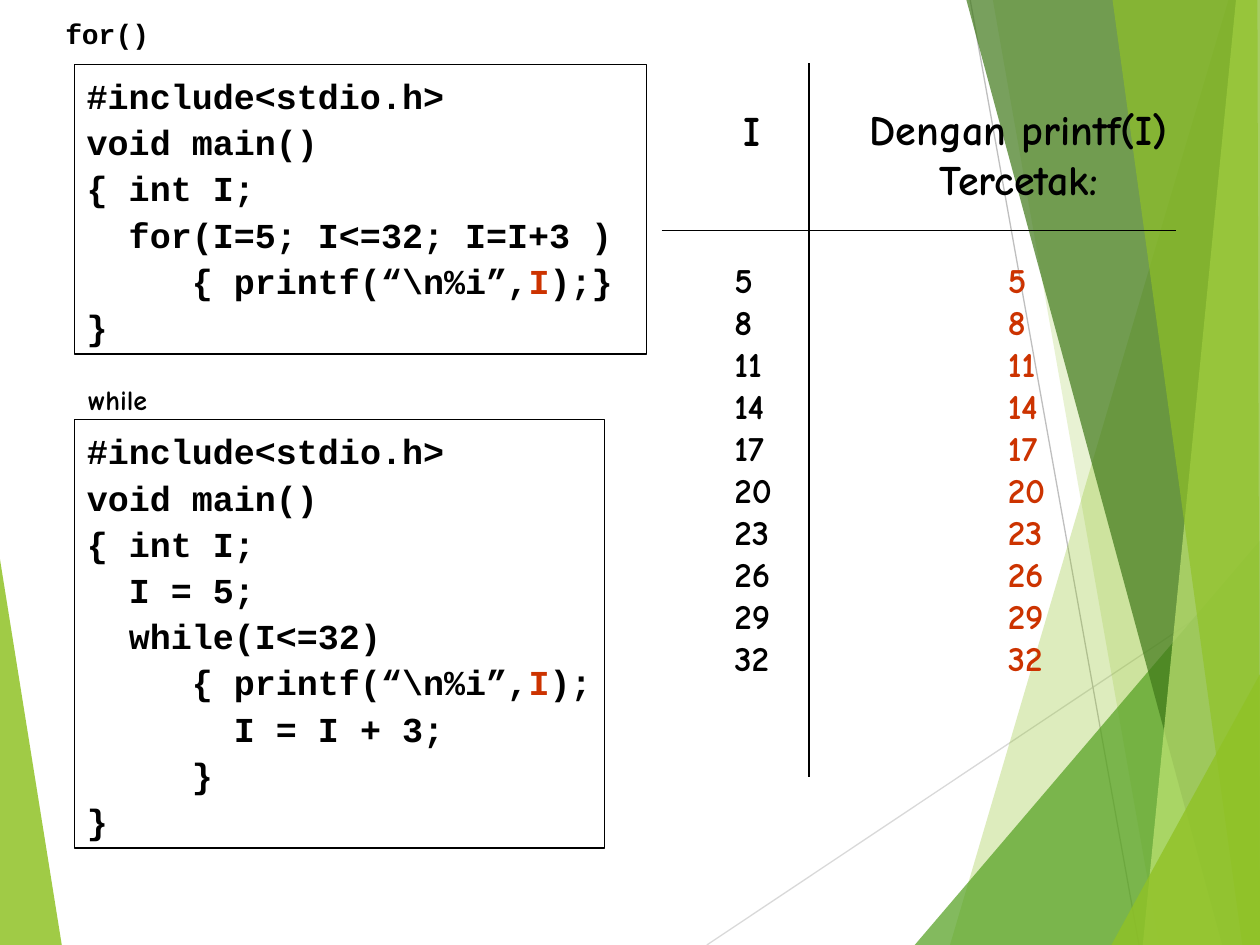
from lxml import etree
from pptx import Presentation
from pptx.dml.color import RGBColor
from pptx.enum.shapes import MSO_CONNECTOR, MSO_SHAPE
from pptx.enum.text import MSO_ANCHOR, MSO_AUTO_SIZE, PP_ALIGN
from pptx.oxml.ns import qn
from pptx.util import Inches, Pt

LEFT, CENTER = PP_ALIGN.LEFT, PP_ALIGN.CENTER
TOP, FIT = MSO_ANCHOR.TOP, MSO_AUTO_SIZE.SHAPE_TO_FIT_TEXT
RECT, STRAIGHT = MSO_SHAPE.RECTANGLE, MSO_CONNECTOR.STRAIGHT
CODE, HAND = "Courier New", "Comic Neue"
BLACK, RED = "000000", "CC3300"

prs = Presentation()
prs.slide_width, prs.slide_height = Inches(10), Inches(7.5)
U = prs.slide_width // 100
s = prs.slides.add_slide(prs.slide_layouts[6])


def rgb(color):
    return RGBColor.from_string(color)


def write(sp, lines, font, size, color=BLACK, align=LEFT, spacing=None):
    tf = sp.text_frame
    tf.word_wrap = False
    tf.auto_size = FIT
    tf.vertical_anchor = TOP
    for i, line in enumerate(lines):
        p = tf.paragraphs[0] if i == 0 else tf.add_paragraph()
        p.alignment = align
        p.line_spacing = spacing
        p.font.name, p.font.size, p.font.bold = font, Pt(size), True
        p.font.color.rgb = rgb(color)
        for j, part in enumerate(line.split("|")):
            r = p.add_run()
            r.text = part
            if j == 1:
                r.font.color.rgb = rgb(RED)


strokes_and_facets = [
    ("90C226", 85, [(0, 44.4), (4.9, 75), (0, 75)]),
    ("D9D9D9", 100, [(56.1, 75), (100, 45.7)]),
    ("BFBFBF", 100, [(77, 0), (90.4, 75)]),
    ("90C226", 30, [(97.5, 0), (75.4, 75), (100, 75), (100, 0)]),
    ("90C226", 20, [(78.8, 0), (92, 75), (100, 75), (100, 0)]),
    ("54A021", 72, [(72.6, 75), (100, 42.9), (100, 75)]),
    ("3F7819", 70, [(76.7, 0), (97, 75), (100, 75), (100, 0)]),
    ("C0E474", 70, [(98.1, 0), (90.7, 75), (100, 75), (100, 0)]),
    ("90C226", 65, [(88.3, 0), (98.6, 75), (100, 75), (99.8, 0)]),
    ("90C226", 80, [(88.2, 75), (100, 53.5), (100, 75)]),
    (BLACK, 100, [(52.5, 18.3), (93.3, 18.3)]),
    (BLACK, 100, [(64.2, 5), (64.2, 61.7)]),
]
for color, opacity, corners in strokes_and_facets:
    points = [(round(x * U), round(y * U)) for x, y in corners]
    if len(points) == 2:
        c = s.shapes.add_connector(STRAIGHT, *points[0], *points[1])
        c.line.color.rgb = rgb(color)
        c.line.width = Pt(0.75)
        etree.SubElement(c._element.spPr, qn("a:effectLst"))
        continue
    builder = s.shapes.build_freeform(*points[0])
    builder.add_line_segments(points[1:])
    sp = builder.convert_to_shape()
    sp.shadow.inherit = False
    sp.line.fill.background()
    sp.fill.solid()
    sp.fill.fore_color.rgb = rgb(color)
    clr = sp._element.spPr.find(".//" + qn("a:srgbClr"))
    etree.SubElement(clr, qn("a:alpha"), val=str(opacity * 1000))

start = ["#include<stdio.h>", "void main()", "{ int I;"]
for_code = start + [
    "  for(I=5; I<=32; I=I+3 )",
    "     { printf(“\\n%i”,|I|);}",
    "}",
]
while_code = start + [
    "  I = 5;",
    "  while(I<=32)",
    "     { printf(“\\n%i”,|I|);",
    "       I = I + 3;",
    "     }",
    "}",
]
for y, w, h, code in [(5.1, 45.4, 23, for_code), (33.3, 42.1, 34, while_code)]:
    sp = s.shapes.add_shape(RECT, *(round(v * U) for v in (5.9, y, w, h)))
    sp.shadow.inherit = False
    sp.fill.background()
    sp.line.color.rgb = rgb(BLACK)
    sp.line.width = Pt(0.75)
    write(sp, code, CODE, 20, spacing=1.1)

values = [str(i) for i in range(5, 33, 3)]
labels = [
    ((4.2, 0.8, 9, 3.7), ["for()"], CODE, 16, BLACK, LEFT),
    ((6, 29.9, 6.8, 3.7), ["while"], HAND, 16, BLACK, LEFT),
    ((58, 7.8, 3.4, 5), ["I"], HAND, 24, BLACK, CENTER),
    ((68, 7.7, 25.7, 9), ["Dengan printf(I)", "Tercetak:"], HAND, 24, BLACK, CENTER),
    ((57.3, 20, 5, 34.4), values, HAND, 20, BLACK, LEFT),
    ((79, 20, 5, 34.4), values, HAND, 20, RED, LEFT),
]
for box, text, font, size, color, align in labels:
    sp = s.shapes.add_textbox(*(round(v * U) for v in box))
    write(sp, text, font, size, color, align)

prs.save("out.pptx")
